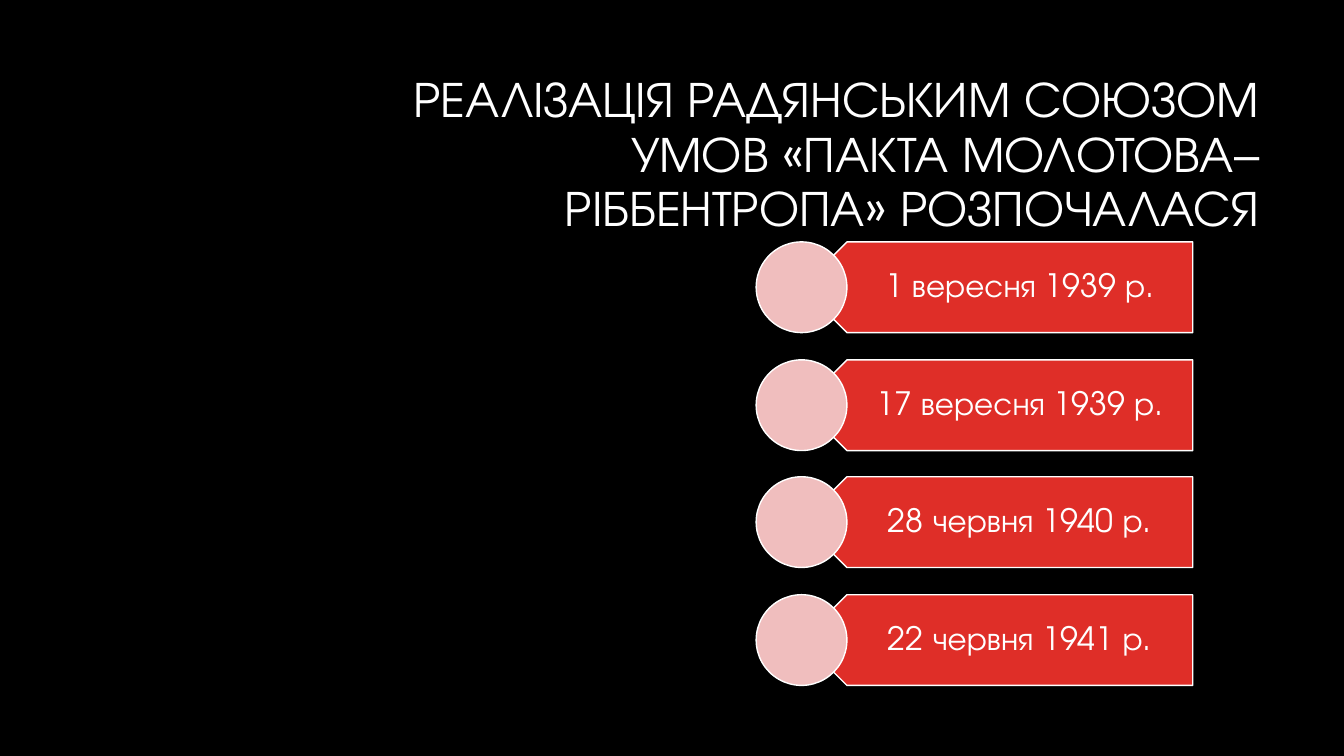
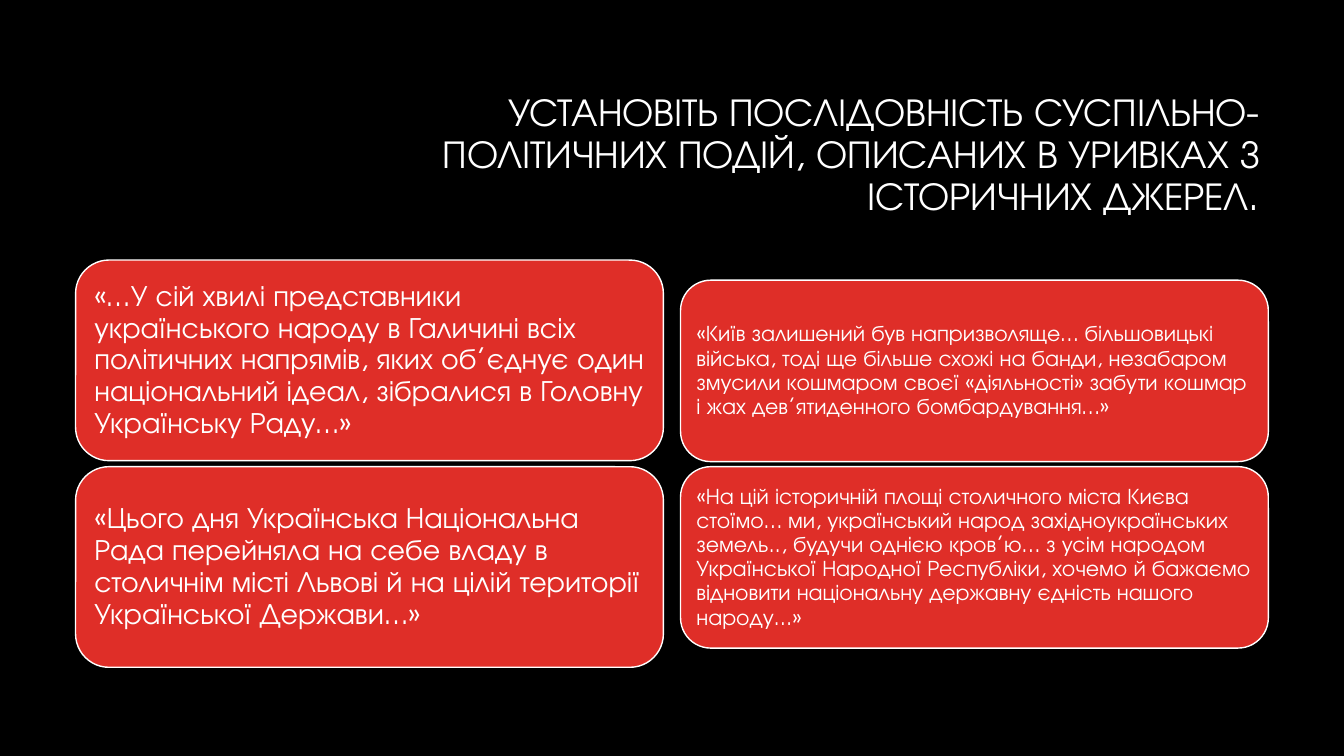
"""Build two history slides: key dates and excerpts from sources."""
from dataclasses import dataclass

from pptx import Presentation
from pptx.dml.color import RGBColor
from pptx.enum.shapes import MSO_SHAPE
from pptx.enum.text import MSO_ANCHOR, PP_ALIGN
from pptx.shapes.autoshape import Shape
from pptx.slide import Slide
from pptx.util import Emu, Pt

PX = 9144
FONT = "TeX Gyre Adventor"
BLACK, WHITE, RED, PINK = "000000", "FFFFFF", "DF2E28", "F0BEBE"


@dataclass(frozen=True)
class Box:
    left: int
    top: int
    width: int
    height: int


@dataclass(frozen=True)
class TextStyle:
    size: int
    align: PP_ALIGN
    insets: tuple[int, int, int, int]


@dataclass(frozen=True)
class QuoteColumn:
    first: Box
    pitch: int
    style: TextStyle
    quotes: tuple[str, ...]


TITLE_BOX = Box(317, 84, 942, 141)
TITLE_INSETS = (10, 5, 10, 5)
DATE_STYLE = TextStyle(23, PP_ALIGN.CENTER, (40, 10, 18, 10))
DATES = ("1 вересня 1939 р.", "17 вересня 1939 р.", "28 червня 1940 р.", "22 червня 1941 р.")
DATES_TOP, DATES_BOTTOM, DISC = 240, 680, 90

COLUMNS = (
    QuoteColumn(
        Box(75, 258, 583, 199), 205, TextStyle(21, PP_ALIGN.LEFT, (9, 9, 9, 9)),
        (
            "«…У сій хвилі представники українського народу в Галичині всіх політичних "
            "напрямів, яких об’єднує один національний ідеал, зібралися в Головну "
            "Українську Раду…»",
            "«Цього дня Українська Національна Рада перейняла на себе владу в столичнім "
            "місті Львові й на цілій території Української Держави…»",
        ),
    ),
    QuoteColumn(
        Box(675, 278, 583, 180), 185, TextStyle(16, PP_ALIGN.LEFT, (7, 7, 7, 7)),
        (
            "«Київ залишений був напризволяще… більшовицькі війська, тоді ще більше схожі "
            "на банди, незабаром змусили кошмаром своєї «діяльності» забути кошмар і жах "
            "дев’ятиденного бомбардування…»",
            "«На цій історичній площі столичного міста Києва стоїмо… ми, український народ "
            "західноукраїнських земель.., будучи однією кров’ю… з усім народом Української "
            "Народної Республіки, хочемо й бажаємо відновити національну державну єдність "
            "нашого народу...»",
        ),
    ),
)


def rgb(value: str) -> RGBColor:
    return RGBColor.from_string(value)


def emu(box: Box) -> list[Emu]:
    return [Emu(n * PX) for n in (box.left, box.top, box.width, box.height)]


def write(sp: Shape, text: str, style: TextStyle) -> None:
    tf = sp.text_frame
    left, top, right, bottom = (Emu(n * PX) for n in style.insets)
    p = tf.paragraphs[0]
    r = p.add_run()
    r.text = text
    r.font.color.rgb = rgb(WHITE)
    formats = (
        (tf, {"word_wrap": True, "vertical_anchor": MSO_ANCHOR.MIDDLE, "margin_left": left,
              "margin_top": top, "margin_right": right, "margin_bottom": bottom}),
        (p, {"alignment": style.align, "line_spacing": 0.9}),
        (r.font, {"name": FONT, "size": Pt(style.size)}),
    )
    for target, values in formats:
        for name, value in values.items():
            setattr(target, name, value)


def add_text(s: Slide, box: Box, text: str, style: TextStyle) -> None:
    write(s.shapes.add_textbox(*emu(box)), text, style)


def add_block(s: Slide, kind: MSO_SHAPE, box: Box, fill: str) -> Shape:
    sp = s.shapes.add_shape(kind, *emu(box))
    sp.shadow.inherit = False
    sp.fill.solid()
    sp.fill.fore_color.rgb = rgb(fill)
    sp.line.color.rgb = rgb(WHITE)
    sp.line.width = Pt(1)
    return sp


def add_slide(prs: Presentation, title: str, size: int) -> Slide:
    s = prs.slides.add_slide(prs.slide_layouts[6])
    s.background.fill.solid()
    s.background.fill.fore_color.rgb = rgb(BLACK)
    add_text(s, TITLE_BOX, title, TextStyle(size, PP_ALIGN.RIGHT, TITLE_INSETS))
    return s


def add_dates(s: Slide) -> None:
    pitch = (DATES_BOTTOM - DATES_TOP - DISC) / (len(DATES) - 1)
    for i, date in enumerate(DATES):
        top = round(DATES_TOP + i * pitch)
        plate = add_block(s, MSO_SHAPE.PENTAGON, Box(795, top, 388, DISC), RED)
        plate.rotation = 180
        add_text(s, Box(818, top, 365, DISC), date, DATE_STYLE)
        add_block(s, MSO_SHAPE.OVAL, Box(750, top, DISC, DISC), PINK)


def add_quotes(s: Slide, column: QuoteColumn) -> None:
    first = column.first
    for i, quote in enumerate(column.quotes):
        box = Box(first.left, first.top + i * column.pitch, first.width, first.height)
        write(add_block(s, MSO_SHAPE.ROUNDED_RECTANGLE, box, RED), quote, column.style)


def main() -> None:
    prs = Presentation()
    prs.slide_width, prs.slide_height = Emu(1333 * PX), Emu(750 * PX)
    add_dates(add_slide(
        prs, "РЕАЛІЗАЦІЯ РАДЯНСЬКИМ СОЮЗОМ УМОВ «ПАКТА МОЛОТОВА–РІББЕНТРОПА» РОЗПОЧАЛАСЯ", 36))
    s = add_slide(
        prs, "УСТАНОВІТЬ ПОСЛІДОВНІСТЬ СУСПІЛЬНО-ПОЛІТИЧНИХ ПОДІЙ, ОПИСАНИХ В УРИВКАХ "
        "З ІСТОРИЧНИХ ДЖЕРЕЛ.", 28)
    for column in COLUMNS:
        add_quotes(s, column)
    prs.save("out.pptx")


if __name__ == "__main__":
    main()
